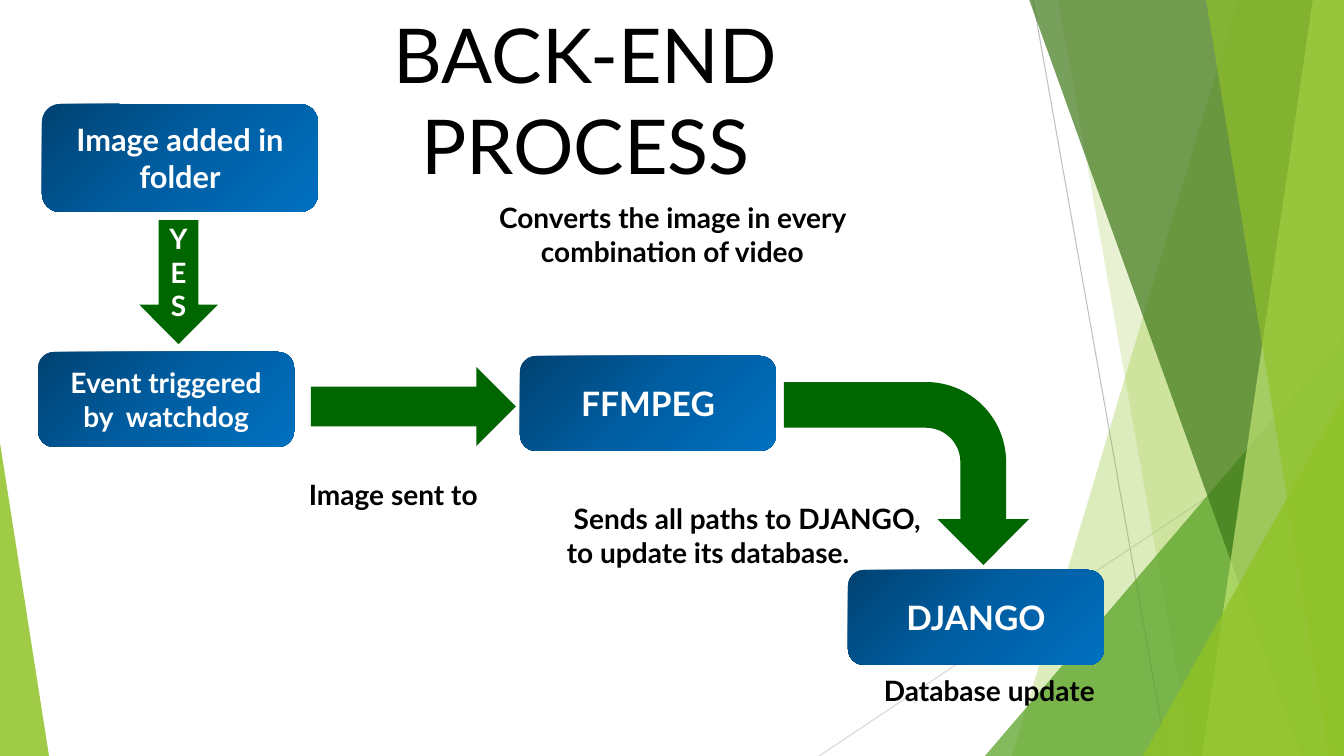
from copy import deepcopy

from lxml import etree
from pptx import Presentation, util as u
from pptx.dml.color import RGBColor
from pptx.enum import shapes, text
from pptx.oxml.ns import qn

PX = 914400 / 100.8
WIDE, HIGH = 1344, 756
FORM = shapes.MSO_SHAPE
ALIGN = text.PP_ALIGN
INK = {
    "black": "000000", "white": "FFFFFF", "arrow": "006600",
    "navy": "004272", "ocean": "005EA2", "blue": "0070C0",
    "lime": "90C226", "leaf": "54A021", "moss": "3F7819", "pale": "C0E474",
    "gray": "BFBFBF", "mist": "D9D9D9",
}


def px(*nums):
    return [u.Emu(round(n * PX)) for n in nums]


class Deck:
    """Holds the style and the current slide, and draws each kind of element."""

    font = "Lato"

    def __init__(self):
        self.show = Presentation()
        self.show.slide_width, self.show.slide_height = px(WIDE, HIGH)
        self.slide = self.show.slides.add_slide(self.show.slide_layouts[5])
        self.items = self.slide.shapes

    def tint(self, name):
        return RGBColor.from_string(INK[name])

    def letter(self, shape, words, size, ink, align, anchor, bold=True):
        frame = shape.text_frame
        frame.text = words
        frame.word_wrap = True
        frame.auto_size = text.MSO_AUTO_SIZE.NONE
        frame.vertical_anchor = anchor
        for para in frame.paragraphs:
            para.alignment = align
            for run in para.runs:
                run.font.name = self.font
                run.font.size = u.Pt(size)
                run.font.bold = bold
                run.font.color.rgb = self.tint(ink)

    def paint(self, shape, ink, alpha=100):
        shape.shadow.inherit = False
        shape.line.fill.background()
        shape.fill.solid()
        shape.fill.fore_color.rgb = self.tint(ink)
        if alpha < 100:
            color = shape._element.spPr.find(".//" + qn("a:srgbClr"))
            etree.SubElement(color, qn("a:alpha"), val=str(alpha * 1000))

    def title(self, words, area):
        head = self.items.title
        head.left, head.top, head.width, head.height = px(*area)
        self.letter(head, words, 54, "black", ALIGN.CENTER,
                    text.MSO_ANCHOR.TOP, bold=False)

    def label(self, words, area, align=ALIGN.LEFT):
        box = self.items.add_textbox(*px(*area))
        self.letter(box, words, 20, "black", align, text.MSO_ANCHOR.TOP)

    def step(self, words, area, size):
        box = self.items.add_shape(FORM.FLOWCHART_ALTERNATE_PROCESS, *px(*area))
        box.shadow.inherit = False
        box.line.fill.background()
        box.fill.gradient()
        box.fill.gradient_angle = 315
        first = box._element.spPr.find(".//" + qn("a:gs"))
        first.addnext(deepcopy(first))
        inks = ("navy", "ocean", "blue")
        for i, (stop, ink) in enumerate(zip(box.fill.gradient_stops, inks)):
            stop.position = i / 2
            stop.color.rgb = self.tint(ink)
        self.letter(box, words, size, "white", ALIGN.CENTER, text.MSO_ANCHOR.MIDDLE)

    def arrow(self, form, area, turn=0, words=""):
        mark = self.items.add_shape(form, *px(*area))
        mark.rotation = turn
        self.paint(mark, "arrow")
        if words:
            self.letter(mark, words, 20, "white", ALIGN.CENTER,
                        text.MSO_ANCHOR.MIDDLE)

    def line(self, ends, ink):
        rule = self.items.add_connector(shapes.MSO_CONNECTOR.STRAIGHT, *px(*ends))
        rule.line.width = u.Pt(0.75)
        rule.line.color.rgb = self.tint(ink)
        etree.SubElement(rule._element.spPr, qn("a:effectLst"))

    def facet(self, top, base, ink, alpha):
        edge = self.items.build_freeform(top, -1, PX)
        edge.add_line_segments([(WIDE, -1), (WIDE, HIGH), (base, HIGH)])
        self.paint(edge.convert_to_shape(), ink, alpha)

    def wedge(self, left, top, width, peak, ink, alpha):
        area = px(left, top, width, HIGH - top)
        shape = self.items.add_shape(FORM.ISOSCELES_TRIANGLE, *area)
        shape.adjustments[0] = peak
        self.paint(shape, ink, alpha)


def main():
    deck = Deck()
    deck.title("BACK-END PROCESS", (244, 3, 683, 102))

    deck.line((1033, 0, 1167, HIGH), "gray")
    deck.line((WIDE, 406, 819, HIGH), "mist")
    deck.facet(1238, 1012, "lime", 30)
    deck.facet(1058, 1192, "lime", 20)
    deck.wedge(985, 336, 359, 1, "leaf", 72)
    deck.facet(1029, 1301, "moss", 70)
    deck.facet(1313, 1202, "pale", 70)
    deck.facet(1206, 1329, "lime", 65)
    deck.wedge(1143, 396, 201, 1, "lime", 80)
    deck.wedge(0, 443, 49, 0, "lime", 85)

    for words, area, size in (
        ("Image added in folder", (42, 104, 276, 108), 22),
        ("Event triggered by  watchdog", (38, 352, 256, 95), 20),
        ("FFMPEG", (520, 356, 256, 95), 24),
        ("DJANGO", (848, 570, 256, 95), 24),
    ):
        deck.step(words, area, size)

    deck.label("Converts the image in every combination of video",
               (471, 196, 403, 78), ALIGN.CENTER)
    deck.label("Image sent to", (299, 473, 199, 44))
    deck.label(" Sends all paths to DJANGO, to update its database.",
               (557, 497, 387, 78))
    deck.label("Database update", (874, 669, 290, 44))

    deck.arrow(FORM.DOWN_ARROW, (139, 220, 79, 124), words="YES")
    deck.arrow(FORM.RIGHT_ARROW, (311, 367, 205, 79))
    deck.arrow(FORM.BENT_ARROW, (815, 351, 183, 245), turn=90)

    deck.show.save("out.pptx")


if __name__ == "__main__":
    main()
